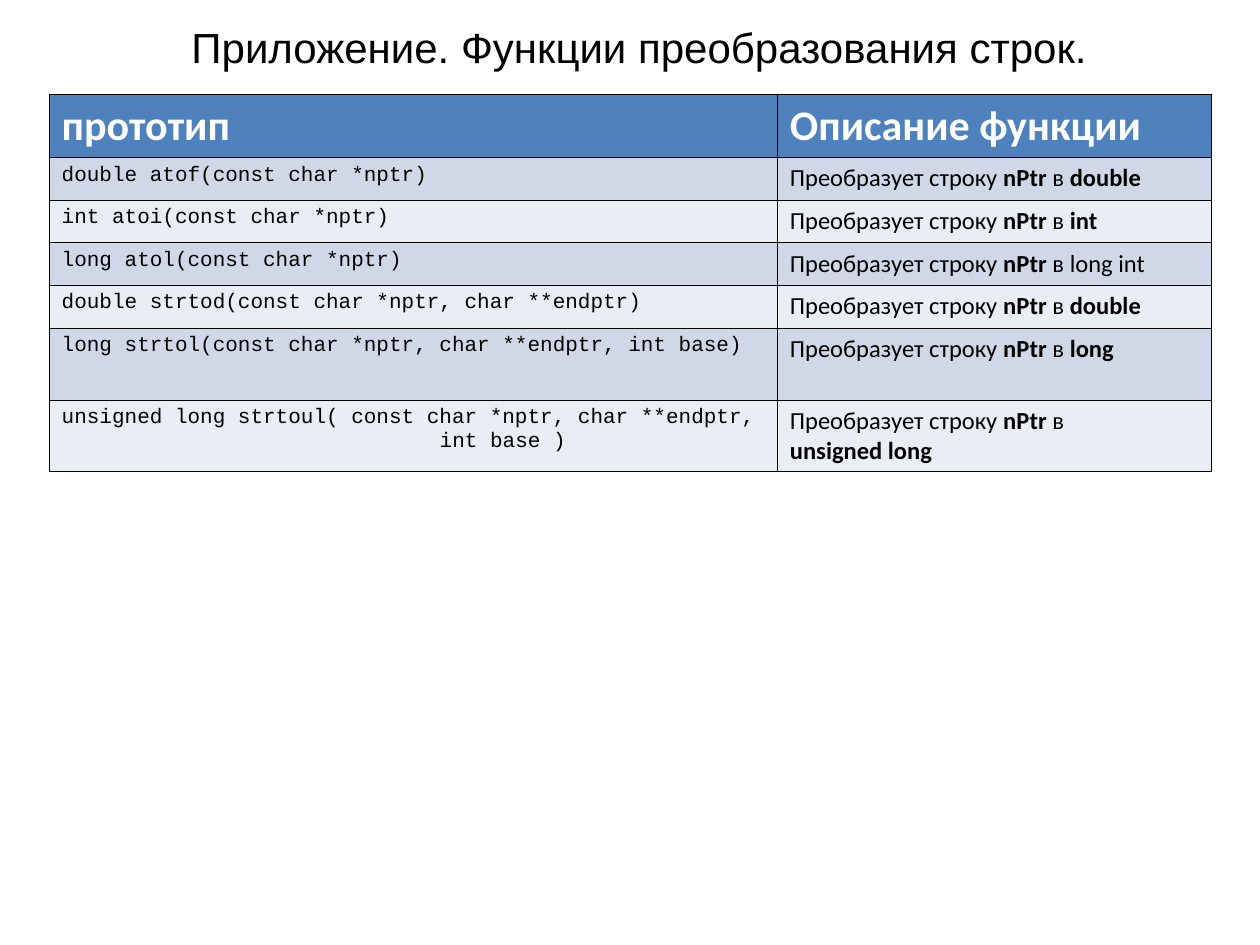
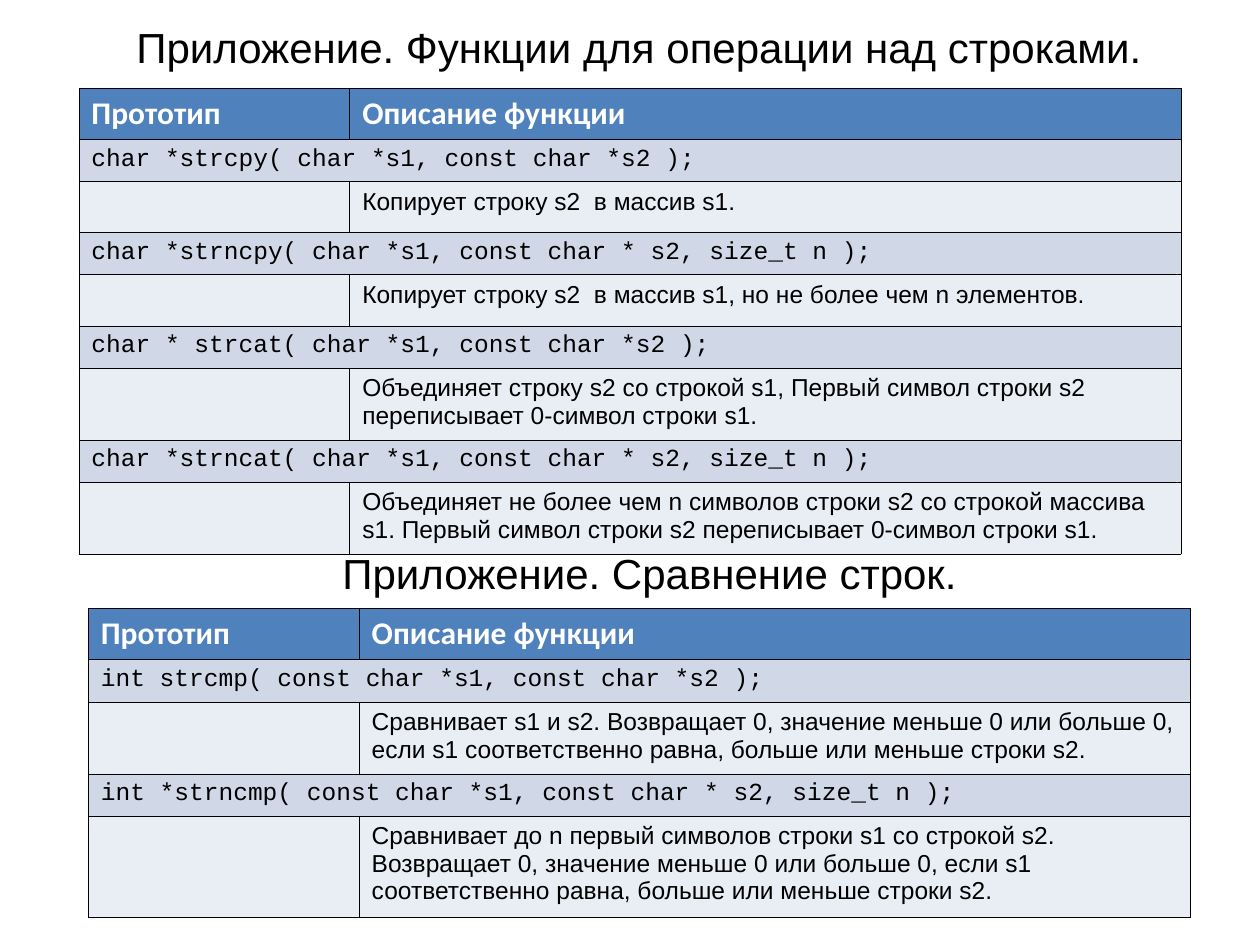
from dataclasses import dataclass

from lxml.etree import SubElement as Sub
from pptx import Presentation
from pptx.dml.color import RGBColor as RGB
from pptx.enum.text import MSO_AUTO_SIZE as Fit, PP_ALIGN as Align
from pptx.oxml.ns import qn
from pptx.util import Cm, Pt

HUES = {
    "ink": "000000",
    "head": "FFFFFF",
    "top": "4F81BD",
    "dark": "D0D8E8",
    "light": "E9EDF4",
}

FONTS = {
    "title": {"name": "Arial", "size": Pt(24), "bold": False},
    "big": {"name": "Calibri", "size": Pt(24), "bold": True},
    "head": {"name": "Calibri", "size": Pt(18), "bold": True},
    "code": {"name": "Courier New", "size": Pt(14), "bold": False},
    "small": {"name": "Courier New", "size": Pt(12), "bold": False},
    "text": {"name": "Arial", "size": Pt(14), "bold": False},
    "note": {"name": "Calibri", "size": Pt(14), "bold": False},
}

INTRO = "Преобразует строку |nPtr |в"
LABEL = "Описание функции"


@dataclass(frozen=True)
class Cell:
    text: str
    font: str
    hue: str = "ink"
    hang: float = 0


@dataclass(frozen=True)
class Row:
    cells: tuple[Cell | None, ...]
    high: float


@dataclass(frozen=True)
class Grid:
    left: float
    top: float
    cols: tuple[float, ...]
    rows: list[Row]


@dataclass(frozen=True)
class Title:
    text: str
    left: float = 0.58
    top: float = 0.3


def write(frame, cell: Cell, align=None) -> None:
    for num, line in enumerate(cell.text.split("\n")):
        para = frame.paragraphs[0] if num == 0 else frame.add_paragraph()
        para.alignment = align
        if num and cell.hang:
            para._p.get_or_add_pPr().set("marL", str(Cm(cell.hang)))
        for pos, part in enumerate(line.split("|")):
            if not part:
                continue
            run = para.add_run()
            run.text = part
            for key, value in FONTS[cell.font].items():
                setattr(run.font, key, value)
            if pos % 2:
                run.font.bold = True
            run.font.color.rgb = RGB.from_string(HUES[cell.hue])


def edge(box) -> None:
    props = box._tc.get_or_add_tcPr()
    for side in "LRTB":
        line = Sub(props, qn(f"a:ln{side}"), w=str(Pt(0.45)))
        fill = Sub(line, qn("a:solidFill"))
        Sub(fill, qn("a:srgbClr"), val=HUES["ink"])


def draw_title(slide, title: Title) -> None:
    box = slide.shapes.add_textbox(Cm(title.left), Cm(title.top), Cm(24.61), Cm(1.27))
    frame = box.text_frame
    frame.word_wrap = True
    frame.auto_size = Fit.SHAPE_TO_FIT_TEXT
    write(frame, Cell(title.text, "title"), Align.CENTER)


def draw_grid(slide, grid: Grid) -> None:
    table = slide.shapes.add_table(
        len(grid.rows), len(grid.cols), Cm(grid.left), Cm(grid.top),
        Cm(sum(grid.cols)), Cm(sum(row.high for row in grid.rows)),
    ).table
    table.first_row = table.horz_banding = False
    for col, wide in zip(table.columns, grid.cols):
        col.width = Cm(wide)
    for num, row in enumerate(grid.rows):
        table.rows[num].height = Cm(row.high)
        hue = "top" if num == 0 else "dark" if num % 2 else "light"
        for pos, cell in enumerate(row.cells):
            box = table.cell(num, pos)
            edge(box)
            box.fill.solid()
            box.fill.fore_color.rgb = RGB.from_string(HUES[hue])
            if cell:
                write(box.text_frame, cell)
        if row.cells[-1] is None:
            table.cell(num, 0).merge(table.cell(num, len(grid.cols) - 1))


def header(name: str, font: str, high: float) -> Row:
    return Row((Cell(name, font, "head"), Cell(LABEL, font, "head")), high)


def cast(code: str, kind: str, high: float = 0.86) -> Row:
    return Row((Cell(code, "small", hang=7.62), Cell(INTRO + kind, "note")), high)


def pairs(items: list[tuple[str, str, float]]) -> list[Row]:
    rows = [header("Прототип", "head", 1.03)]
    for code, text, high in items:
        rows.append(Row((Cell(code, "code"), None), 0.85))
        rows.append(Row((None, Cell(text, "text")), high))
    return rows


CASTS = [
    header("прототип", "big", 1.27),
    cast("double atof(const char *nptr)", " |double"),
    cast("int atoi(const char *nptr)", " |int"),
    cast("long atol(const char *nptr)", " long int"),
    cast("double strtod(const char *nptr, char **endptr)", " |double"),
    cast("long strtol(const char *nptr, char **endptr, int base)", " |long", 1.45),
    cast(
        "unsigned long strtoul( const char *nptr, char **endptr,\nint base )",
        "\n|unsigned long", 1.45,
    ),
]

COPIES = pairs([
    ("char *strcpy( char *s1, const char *s2 );",
     "Копирует строку s2  в массив s1.", 1.03),
    ("сhar *strncpy( char *s1, const char * s2, size_t n );",
     "Копирует строку s2  в массив s1, но не более чем n элементов.", 1.03),
    ("char * strcat( char *s1, const char *s2 );",
     "Объединяет строку s2 со строкой s1, Первый символ строки s2 "
     "переписывает 0-символ строки s1.", 1.45),
    ("char *strncat( char *s1, const char * s2, size_t n );",
     "Объединяет не более чем n символов строки s2 со строкой массива s1. "
     "Первый символ строки s2 переписывает 0-символ строки s1.", 1.45),
])

TESTS = pairs([
    ("int strcmp( const char *s1, const char *s2 );",
     "Сравнивает s1 и s2. Возвращает 0, значение меньше 0 или больше 0, "
     "если s1 соответственно равна, больше или меньше строки s2.", 1.45),
    ("int *strncmp( const char *s1, const char * s2, size_t n );",
     "Сравнивает до n первый символов строки s1 со строкой s2. "
     "Возвращает 0, значение меньше 0 или больше 0, если s1 "
     "соответственно равна, больше или меньше строки s2.", 2.05),
])

WIDE = (14.68, 8.74)
SLIM = (5.46, 16.76)

PAGES = [
    [
        (Title("Приложение. Функции преобразования строк."),
         Grid(0.99, 1.9, WIDE, CASTS)),
    ],
    [
        (Title("Приложение. Функции для операции над строками."),
         Grid(1.59, 1.78, SLIM, COPIES)),
        (Title("Приложение. Сравнение строк.", 0.79, 10.92),
         Grid(1.78, 12.27, SLIM, TESTS)),
    ],
]


def main() -> None:
    deck = Presentation()
    deck.slide_width, deck.slide_height = Cm(25.4), Cm(19.05)
    for page in PAGES:
        slide = deck.slides.add_slide(deck.slide_layouts[6])
        for title, grid in page:
            draw_title(slide, title)
            draw_grid(slide, grid)
    deck.save("out.pptx")


if __name__ == "__main__":
    main()
